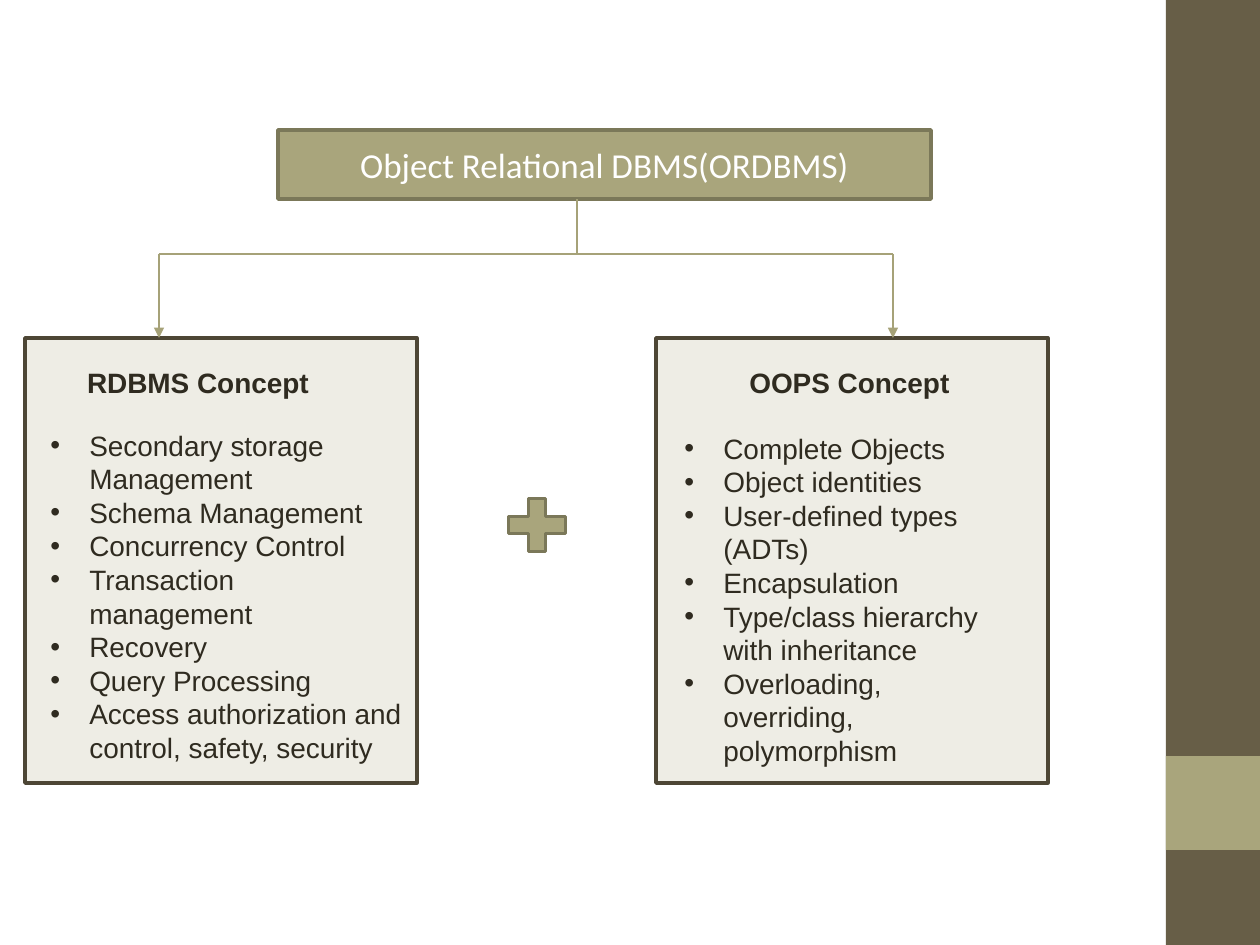
"""Build a slide showing ORDBMS as RDBMS concepts plus OOPS concepts."""
from dataclasses import dataclass

from lxml.etree import SubElement
from pptx import Presentation
from pptx.dml.color import RGBColor
from pptx.enum.shapes import MSO_CONNECTOR as Connector, MSO_SHAPE as Shape
from pptx.enum.text import MSO_ANCHOR as Anchor, MSO_AUTO_SIZE as AutoSize, PP_ALIGN as Align
from pptx.oxml.ns import qn
from pptx.util import Emu, Pt

COLORS = {
    "olive": "675E47",
    "sage": "A9A57C",
    "sage_edge": "7B7859",
    "card": "EEEDE5",
    "card_edge": "4D4635",
    "arrow": "A6A278",
    "ink": "2F2B20",
    "white": "FFFFFF",
}
CARD_TOP, CARD_W, CARD_H = 338, 392, 445
HEADING_TOP, HEADING_H = 359, 47
BRANCH_Y, INDENT = 254, 39


@dataclass(frozen=True)
class Box:
    left: int
    top: int
    width: int
    height: int


@dataclass(frozen=True)
class Concept:
    heading: str
    items: tuple[str, ...]
    card_left: int
    arrow_x: int
    heading_box: Box
    list_box: Box


CONCEPTS = (
    Concept(
        "RDBMS Concept",
        (
            "Secondary storage Management",
            "Schema Management",
            "Concurrency Control",
            "Transaction management",
            "Recovery",
            "Query Processing",
            "Access authorization and control, safety, security",
        ),
        25, 159,
        Box(38, HEADING_TOP, 320, HEADING_H),
        Box(38, 422, 378, 349),
    ),
    Concept(
        "OOPS Concept",
        (
            "Complete Objects",
            "Object identities",
            "User-defined types (ADTs)",
            "Encapsulation",
            "Type/class hierarchy with inheritance",
            "Overloading, overriding, polymorphism",
        ),
        656, 893,
        Box(672, HEADING_TOP, 355, HEADING_H),
        Box(672, 425, 355, 349),
    ),
)


def px(n: int) -> Emu:
    """Turn pixels into EMU at 126 pixels to the inch."""
    return Emu(round(n * 914400 / 126))


def place(box: Box) -> tuple[Emu, Emu, Emu, Emu]:
    """Return left, top, width and height in EMU."""
    return px(box.left), px(box.top), px(box.width), px(box.height)


def rgb(name: str) -> RGBColor:
    """Look up a named colour."""
    return RGBColor.from_string(COLORS[name])


def paint(sp, fill: str, edge: str | None = None) -> None:
    """Fill a shape and give it a 2 pt outline, or none."""
    sp.fill.solid()
    sp.fill.fore_color.rgb = rgb(fill)
    if edge:
        sp.line.color.rgb = rgb(edge)
        sp.line.width = Pt(2)
    else:
        sp.line.fill.background()


def add_block(s, box: Box, fill: str, edge: str | None = None, kind=Shape.RECTANGLE) -> None:
    """Draw a plain filled shape."""
    sp = s.shapes.add_shape(kind, *place(box))
    sp.shadow.inherit = False
    paint(sp, fill, edge)


def add_line(s, x1: int, y1: int, x2: int, y2: int, arrow: bool = False) -> None:
    """Draw a thin line, with an arrowhead at its end if asked."""
    c = s.shapes.add_connector(Connector.STRAIGHT, px(x1), px(y1), px(x2), px(y2))
    c.line.color.rgb = rgb("arrow")
    c.line.width = Pt(1)
    if arrow:
        SubElement(c.line._get_or_add_ln(), qn("a:tailEnd"), type="triangle")
    SubElement(c._element.spPr, qn("a:effectLst"))


def style_runs(p, font: str, size: int, color: str, bold: bool = False) -> None:
    """Format every run of a paragraph."""
    for r in p.runs:
        r.font.name = font
        r.font.size = Pt(size)
        r.font.bold = bold
        r.font.color.rgb = rgb(color)


def add_bullet(p) -> None:
    """Give a paragraph a hanging round bullet."""
    pPr = p._p.get_or_add_pPr()
    pPr.set("marL", str(px(INDENT)))
    pPr.set("indent", str(-px(INDENT)))
    color = SubElement(pPr, qn("a:buClr"))
    SubElement(color, qn("a:srgbClr"), val=COLORS["ink"])
    SubElement(pPr, qn("a:buFont"), typeface="Arial")
    SubElement(pPr, qn("a:buChar"), char="•")


def add_text(s, box: Box, text: str, heading: bool = False) -> None:
    """Add a bold centred heading or a bulleted list."""
    tf = s.shapes.add_textbox(*place(box)).text_frame
    tf.word_wrap = True
    tf.text = text
    for p in tf.paragraphs:
        if heading:
            p.alignment = Align.CENTER
        else:
            add_bullet(p)
        style_runs(p, "Arial", 16, "ink", heading)


def set_title(s, box: Box, text: str) -> None:
    """Turn the title placeholder into the top box of the diagram."""
    sp = s.shapes.title
    sp.left, sp.top, sp.width, sp.height = place(box)
    paint(sp, "sage", "sage_edge")
    tf = sp.text_frame
    tf.text = text
    tf.word_wrap = True
    tf.auto_size = AutoSize.NONE
    tf.vertical_anchor = Anchor.MIDDLE
    p = tf.paragraphs[0]
    p.alignment = Align.CENTER
    style_runs(p, "Calibri", 20, "white")


def main() -> None:
    """Build and save the slide."""
    prs = Presentation()
    prs.slide_width, prs.slide_height = px(1260), px(945)
    s = prs.slides.add_slide(prs.slide_layouts[5])
    add_block(s, Box(1166, 0, 94, 945), "olive")
    add_block(s, Box(1166, 756, 94, 94), "sage")
    set_title(s, Box(278, 130, 653, 69), "Object Relational DBMS(ORDBMS)")
    for c in CONCEPTS:
        add_block(s, Box(c.card_left, CARD_TOP, CARD_W, CARD_H), "card", "card_edge")
    add_line(s, 577, 199, 577, BRANCH_Y)
    add_line(s, CONCEPTS[0].arrow_x, BRANCH_Y, CONCEPTS[1].arrow_x, BRANCH_Y)
    for c in CONCEPTS:
        add_line(s, c.arrow_x, BRANCH_Y, c.arrow_x, CARD_TOP, arrow=True)
        add_text(s, c.list_box, "\n".join(c.items))
        add_text(s, c.heading_box, c.heading, heading=True)
    add_block(s, Box(498, 489, 78, 72), "sage", "sage_edge", Shape.MATH_PLUS)
    prs.save("out.pptx")


if __name__ == "__main__":
    main()
